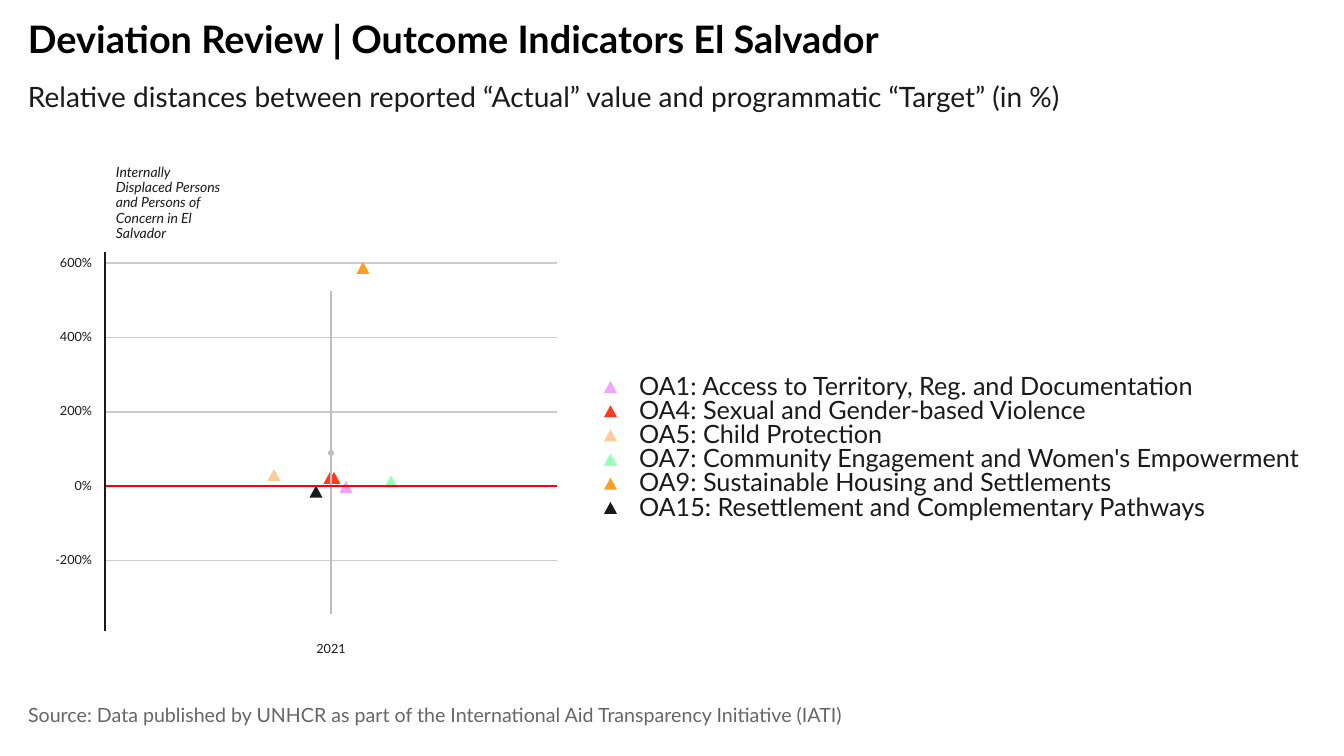
from pptx import Presentation
from pptx.dml.color import RGBColor
from pptx.enum.shapes import MSO_CONNECTOR, MSO_SHAPE
from pptx.enum.text import MSO_ANCHOR, PP_ALIGN
from pptx.oxml import parse_xml
from pptx.util import Emu, Pt

PX = 914400 / 100.8
FONT = "Lato"
TRIANGLE = MSO_SHAPE.ISOSCELES_TRIANGLE
CIRCLE = MSO_SHAPE.OVAL
STRAIGHT = MSO_CONNECTOR.STRAIGHT
MIDDLE = MSO_ANCHOR.MIDDLE
LEFT, CENTER, RIGHT = PP_ALIGN.LEFT, PP_ALIGN.CENTER, PP_ALIGN.RIGHT
NO_EFFECTS = '<a:effectLst xmlns:a="http://schemas.openxmlformats.org/drawingml/2006/main"/>'

COLORS = {
    "title": "000000", "text": "1A1A1A", "source": "666666",
    "grid": "CCCCCC", "range": "BEBEBE", "zero": "FF0000",
    "OA1": "F0A3FF", "OA4": "FF3A21", "OA5": "FFCC99",
    "OA7": "94FFB5", "OA9": "FD9D24", "OA15": "191919",
}
OUTCOMES = {
    "OA1": "Access to Territory, Reg. and Documentation",
    "OA4": "Sexual and Gender-based Violence",
    "OA5": "Child Protection",
    "OA7": "Community Engagement and Women's Empowerment",
    "OA9": "Sustainable Housing and Settlements",
    "OA15": "Resettlement and Complementary Pathways",
}
DEVIATIONS = [
    ("OA9", 32, 587), ("OA15", -15, -15), ("OA5", -57, 30), ("OA4", -1, 22),
    ("OA4", 3, 22), ("OA7", 60, 12), ("OA1", 15, -2),
]
SCALE_LOW, SCALE_HIGH = -390, 630
GRID_VALUES = range(-200, 601, 200)
SPREAD_LOW, SPREAD_HIGH, MEAN = -345, 524, 89
MARKER_WIDTH, MARKER_HEIGHT = 13, 12


def px(length):
    """Turn a length in px into EMU."""
    return Emu(round(length * PX))


def color(name):
    """Return the named colour."""
    return RGBColor.from_string(COLORS[name])


def add_text(slide, box, text, size, color_name="text", bold=False, italic=False,
             align=LEFT, line_points=None, wrap=True):
    """Place one paragraph, centred vertically in the box."""
    frame = slide.shapes.add_textbox(*map(px, box)).text_frame
    frame.margin_left = frame.margin_right = frame.margin_top = frame.margin_bottom = 0
    frame.vertical_anchor = MIDDLE
    frame.word_wrap = wrap
    paragraph = frame.paragraphs[0]
    paragraph.alignment = align
    if line_points:
        paragraph.line_spacing = Pt(line_points)
    run = paragraph.add_run()
    run.text = text
    run.font.name = FONT
    run.font.size = Pt(size)
    run.font.bold = bold
    run.font.italic = italic
    run.font.color.rgb = color(color_name)


def add_line(slide, start, end, color_name, width):
    """Draw a straight line between two points."""
    line = slide.shapes.add_connector(STRAIGHT, *map(px, (*start, *end)))
    line.line.color.rgb = color(color_name)
    line.line.width = Pt(width)
    line._element.spPr.append(parse_xml(NO_EFFECTS))


def add_marker(slide, center, color_name, kind=TRIANGLE, width=MARKER_WIDTH, height=MARKER_HEIGHT):
    """Draw a filled marker around its centre."""
    x, y = center
    box = (x - width / 2, y - height / 2, width, height)
    marker = slide.shapes.add_shape(kind, *map(px, box))
    marker.shadow.inherit = False
    marker.fill.solid()
    marker.fill.fore_color.rgb = color(color_name)
    marker.line.fill.background()


def add_heading(slide, box):
    """Place the title and the subtitle."""
    left, top, width, height = box
    add_text(slide, (left, top, width, 42), "Deviation Review | Outcome Indicators El Salvador",
             27, "title", bold=True, wrap=False)
    add_text(slide, (left, top + height - 32, width, 32),
             "Relative distances between reported “Actual” value and programmatic “Target” (in %)",
             20, wrap=False)


def add_deviation_plot(slide, box):
    """Draw the deviations of one year on a percent scale."""
    left, top, width, height = box
    right, bottom = left + width, top + height
    middle = left + width / 2

    def level(value):
        """Return the height of a percent value on the slide."""
        return top + (SCALE_HIGH - value) * height / (SCALE_HIGH - SCALE_LOW)

    for value in GRID_VALUES:
        y = level(value)
        add_line(slide, (left, y), (right, y), "grid", 1.16)
        add_text(slide, (left - 63, y - 9, 50, 16), f"{value}%", 9, align=RIGHT)
    for code, offset, value in DEVIATIONS:
        add_marker(slide, (middle + offset, level(value)), code)
    add_line(slide, (middle, level(SPREAD_LOW)), (middle, level(SPREAD_HIGH)), "range", 1.07)
    add_marker(slide, (middle, level(MEAN)), "range", CIRCLE, 6, 6)
    add_line(slide, (left, level(0)), (right, level(0)), "zero", 1.07)
    add_line(slide, (left, bottom), (left, top), "text", 1.55)
    add_text(slide, (middle - 25, bottom + 9, 50, 16), "2021", 9, align=CENTER)
    add_text(slide, (left + 11, top - 87, 110, 76),
             "Internally Displaced Persons and Persons of Concern in El Salvador",
             10, italic=True, line_points=11)


def add_legend(slide, box):
    """List the outcome areas with their markers."""
    left, top, width, height = box
    row_height = height / len(OUTCOMES)
    for index, (code, name) in enumerate(OUTCOMES.items()):
        row_top = top + index * row_height
        add_marker(slide, (left + MARKER_WIDTH / 2, row_top + row_height / 2), code)
        add_text(slide, (left + 35, row_top - 2, width - 35, row_height),
                 f"{code}: {name}", 18, wrap=False)


def add_source(slide, box):
    """Place the source line."""
    add_text(slide, box, "Source: Data published by UNHCR as part of the International Aid "
             "Transparency Initiative (IATI)", 14, "source", wrap=False)


def main():
    """Build and save the slide."""
    presentation = Presentation()
    presentation.slide_width, presentation.slide_height = px(1344), px(756)
    slide = presentation.slides.add_slide(presentation.slide_layouts[6])
    add_heading(slide, (28, 17, 1060, 95))
    add_deviation_plot(slide, (105, 252, 452, 379))
    add_legend(slide, (604, 375, 705, 145))
    add_source(slide, (28, 703, 830, 24))
    presentation.save("out.pptx")


if __name__ == "__main__":
    main()
